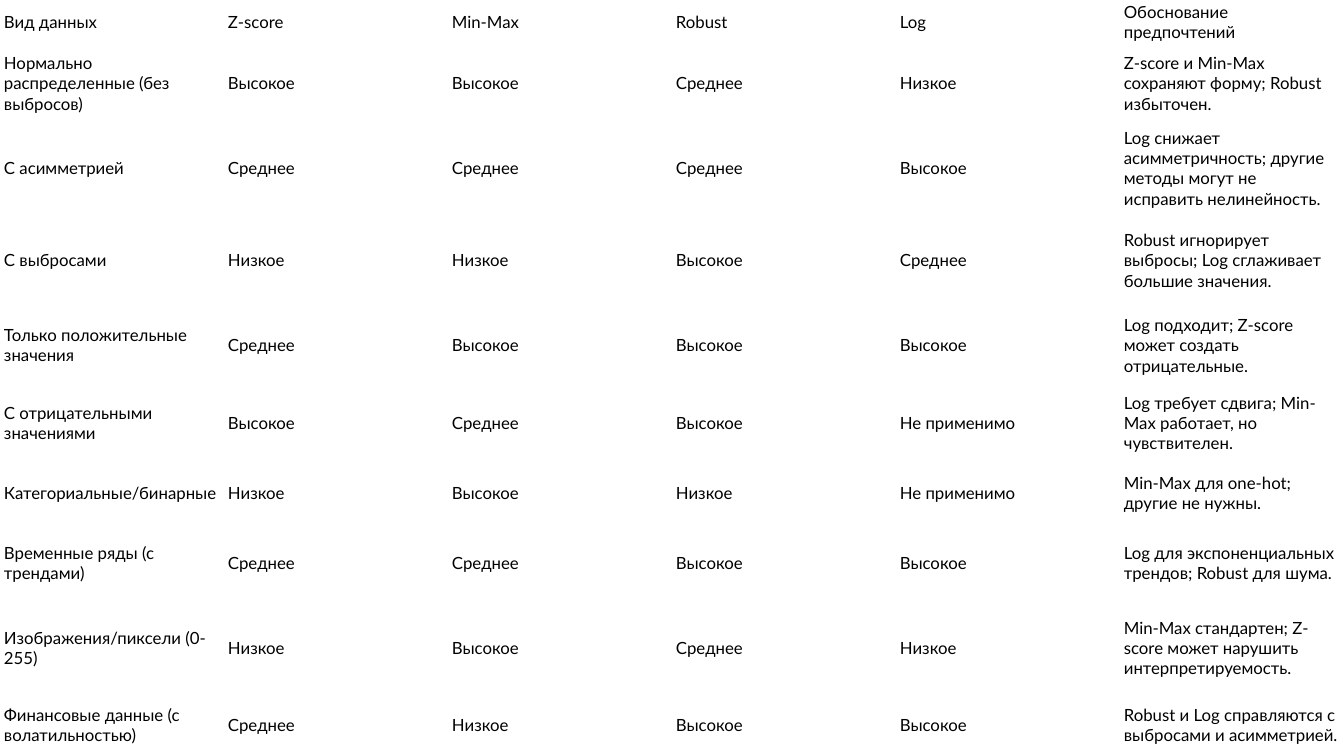
from dataclasses import dataclass

from pptx import Presentation
from pptx import util as u
from pptx.dml.color import RGBColor
from pptx.enum import text

EMU_PER_PX = 914400 / 100.8
SLIDE_WIDTH, SLIDE_HEIGHT = 1344, 756
INSET_X, INSET_Y = 4, 2
FONT_NAME = "Lato"
FONT_SIZE = u.Pt(12)
BLACK = RGBColor(0x00, 0x00, 0x00)

HIGH, MEDIUM, LOW = "Высокое", "Среднее", "Низкое"
NOT_APPLICABLE = "Не применимо"


@dataclass(frozen=True)
class TableRow:
    height: int
    data_kind: str
    z_score: str
    min_max: str
    robust: str
    log: str
    rationale: str

    def texts(self) -> tuple[str, ...]:
        return (self.data_kind, self.z_score, self.min_max,
                self.robust, self.log, self.rationale)


ROWS = [
    TableRow(44, "Вид данных", "Z-score", "Min-Max", "Robust", "Log",
             "Обоснование предпочтений"),
    TableRow(78, "Нормально распределенные (без выбросов)", HIGH, HIGH, MEDIUM, LOW,
             "Z-score и Min-Max сохраняют форму; Robust избыточен."),
    TableRow(92, "С асимметрией", MEDIUM, MEDIUM, MEDIUM, HIGH,
             "Log снижает асимметричность; другие методы могут не исправить нелинейность."),
    TableRow(92, "С выбросами", LOW, LOW, HIGH, MEDIUM,
             "Robust игнорирует выбросы; Log сглаживает большие значения."),
    TableRow(78, "Только положительные значения", MEDIUM, HIGH, HIGH, HIGH,
             "Log подходит; Z-score может создать отрицательные."),
    TableRow(78, "С отрицательными значениями", HIGH, MEDIUM, HIGH, NOT_APPLICABLE,
             "Log требует сдвига; Min-Max работает, но чувствителен."),
    TableRow(62, "Категориальные/бинарные", LOW, HIGH, LOW, NOT_APPLICABLE,
             "Min-Max для one-hot; другие не нужны."),
    TableRow(78, "Временные ряды (с трендами)", MEDIUM, MEDIUM, HIGH, HIGH,
             "Log для экспоненциальных трендов; Robust для шума."),
    TableRow(92, "Изображения/пиксели (0-255)", LOW, HIGH, MEDIUM, LOW,
             "Min-Max стандартен; Z-score может нарушить интерпретируемость."),
    TableRow(62, "Финансовые данные (с волатильностью)", MEDIUM, LOW, HIGH, HIGH,
             "Robust и Log справляются с выбросами и асимметрией."),
]


def px(length: int) -> u.Emu:
    return u.Emu(round(length * EMU_PER_PX))


def fill_cell(cell, content: str) -> None:
    cell.fill.background()
    cell.vertical_anchor = text.MSO_ANCHOR.MIDDLE
    cell.margin_left = cell.margin_right = px(INSET_X)
    cell.margin_top = cell.margin_bottom = px(INSET_Y)
    paragraph = cell.text_frame.paragraphs[0]
    paragraph.text = content
    font = paragraph.runs[0].font
    font.name = FONT_NAME
    font.size = FONT_SIZE
    font.color.rgb = BLACK


def add_comparison_table(slide, rows: list[TableRow]) -> None:
    column_count = len(rows[0].texts())
    total_height = sum(row.height for row in rows)
    table = slide.shapes.add_table(len(rows), column_count, px(0), px(0),
                                   px(SLIDE_WIDTH), px(total_height)).table
    table.first_row = False
    table.horz_banding = False

    # Equal columns across the slide
    for column in table.columns:
        column.width = px(SLIDE_WIDTH // column_count)

    # Header and data rows
    for table_row, row in zip(table.rows, rows):
        table_row.height = px(row.height)
        for cell, content in zip(table_row.cells, row.texts()):
            fill_cell(cell, content)


def main() -> None:
    presentation = Presentation()
    presentation.slide_width = px(SLIDE_WIDTH)
    presentation.slide_height = px(SLIDE_HEIGHT)
    slide = presentation.slides.add_slide(presentation.slide_layouts[6])
    add_comparison_table(slide, ROWS)
    presentation.save("out.pptx")


if __name__ == "__main__":
    main()
